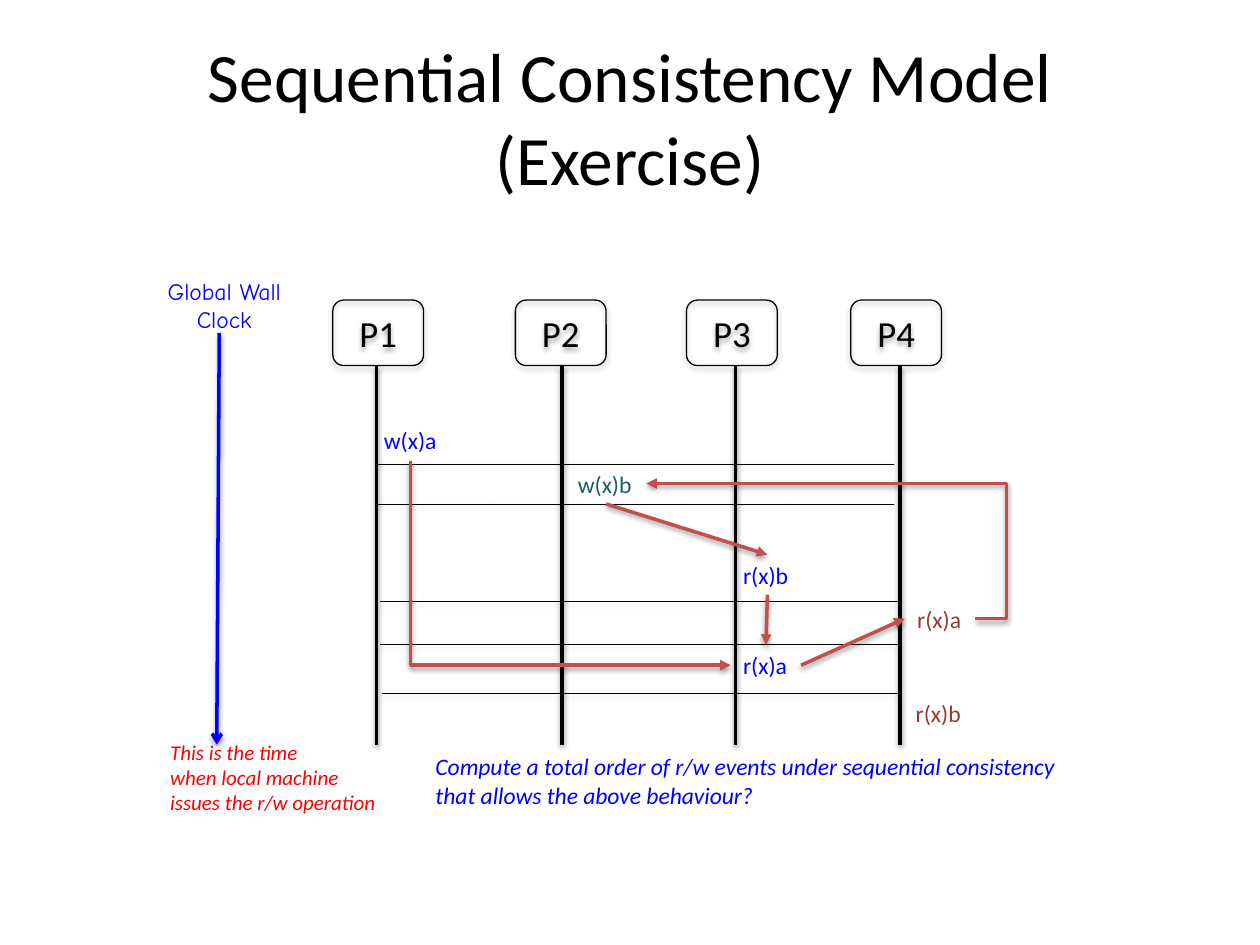
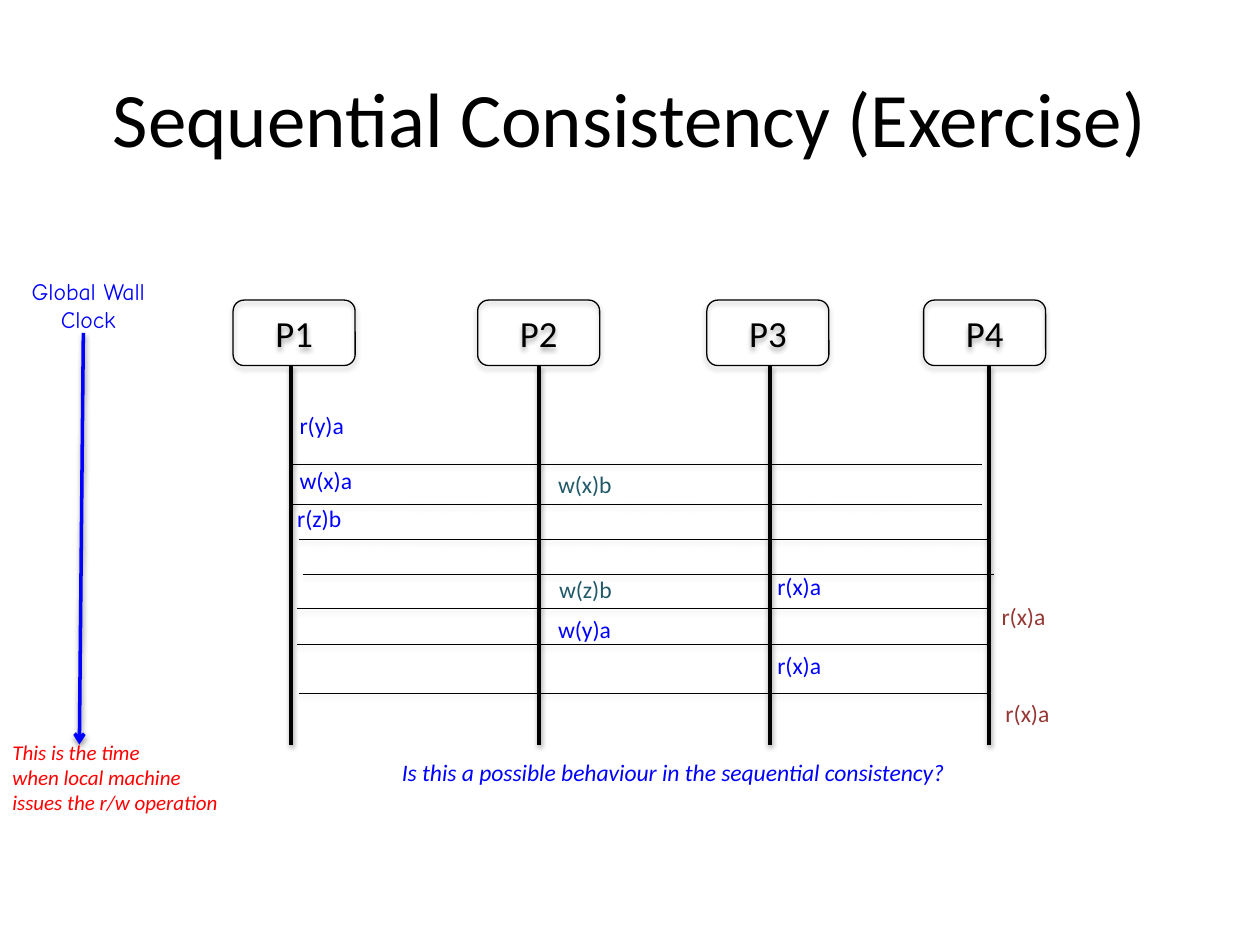
import dataclasses

import pptx
import pptx.dml.color
import pptx.enum.dml
import pptx.enum.shapes
import pptx.enum.text
import pptx.oxml
import pptx.oxml.ns
import pptx.util

Cm = pptx.util.Cm
Pt = pptx.util.Pt
RGBColor = pptx.dml.color.RGBColor
MSO_CONNECTOR = pptx.enum.shapes.MSO_CONNECTOR
PP_ALIGN = pptx.enum.text.PP_ALIGN
MSO_AUTO_SIZE = pptx.enum.text.MSO_AUTO_SIZE
MSO_ANCHOR = pptx.enum.text.MSO_ANCHOR
qn = pptx.oxml.ns.qn
NAMESPACE = pptx.oxml.ns.nsdecls("a")


@dataclasses.dataclass(frozen=True)
class Theme:
    font: str = "Calibri"
    clock_font: str = "Comic Neue"
    black: RGBColor = RGBColor(0x00, 0x00, 0x00)
    blue: RGBColor = RGBColor(0x00, 0x00, 0xFF)
    red: RGBColor = RGBColor(0xFF, 0x00, 0x00)
    teal: RGBColor = RGBColor(0x21, 0x59, 0x68)
    brick: RGBColor = RGBColor(0x95, 0x37, 0x35)
    arrow: RGBColor = RGBColor(0xC0, 0x50, 0x4D)
    process_size: float = 21
    label_size: float = 13.5
    note_size: float = 12
    thick: float = 2
    outline: float = 0.75
    hairline: float = 0.25


THEME = Theme()
SHADOW = (
    f'<a:outerShdw {NAMESPACE} blurRad="39370" dist="{{distance}}" dir="5400000" rotWithShape="0">'
    '<a:srgbClr val="000000"><a:alpha val="{alpha}"/></a:srgbClr></a:outerShdw>'
)


def add_text(slide, box, lines, color, size=THEME.label_size, font=THEME.font,
             italic=False, align=PP_ALIGN.LEFT):
    """Add an unwrapped text box with one paragraph per line; box is in centimetres."""
    text_box = slide.shapes.add_textbox(*[Cm(length) for length in box])
    frame = text_box.text_frame
    frame.word_wrap = False
    frame.auto_size = MSO_AUTO_SIZE.SHAPE_TO_FIT_TEXT
    for index, line in enumerate(lines):
        paragraph = frame.add_paragraph() if index else frame.paragraphs[0]
        paragraph.alignment = align
        run = paragraph.add_run()
        run.text = line
        run.font.name = font
        run.font.size = Pt(size)
        run.font.italic = italic
        run.font.color.rgb = color


def add_line(slide, start, end, color, width=THEME.thick, head=None, dotted=False,
             kind=MSO_CONNECTOR.STRAIGHT):
    """Add a shadowed connector between two points in centimetres."""
    connector = slide.shapes.add_connector(kind, *[Cm(value) for value in (*start, *end)])
    connector.line.color.rgb = color
    connector.line.width = Pt(width)
    if dotted:
        connector.line.dash_style = pptx.enum.dml.MSO_LINE.ROUND_DOT
    properties = connector._element.spPr
    if head:
        properties.find(qn("a:ln")).append(
            pptx.oxml.parse_xml(f'<a:tailEnd {NAMESPACE} type="{head}"/>'))
    effects = pptx.oxml.parse_xml(f"<a:effectLst {NAMESPACE}/>")
    effects.append(pptx.oxml.parse_xml(SHADOW.format(distance=20320, alpha=38000)))
    properties.append(effects)
    return connector


BOX_TOP, BOX_HEIGHT = 6.05, 1.32
BAR_BOTTOM = 15.01

exercises = [
    {
        "title": "Sequential Consistency Model (Exercise)",
        "title_size": 39.6,
        "box_width": 1.83,
        "box_lefts": [6.71, 10.39, 13.84, 17.15],
        "bars": [7.59, 11.33, 14.83, 18.14],
        "clock_left": 3.1,
        "clock_line": [4.42, 4.37],
        "note_left": 3.18,
        "time_length": 10.44,
        "times": [(7.59, 9.35), (7.59, 10.16), (7.67, 12.12), (7.67, 12.98), (7.7, 13.97)],
        "events": [
            ("w(x)a", 7.49, 8.46, THEME.blue),
            ("w(x)b", 11.4, 9.35, THEME.teal),
            ("r(x)b", 14.73, 11.18, THEME.blue),
            ("r(x)a", 14.73, 13.0, THEME.blue),
            ("r(x)a", 18.24, 12.07, THEME.brick),
            ("r(x)b", 18.21, 13.97, THEME.brick),
        ],
        "question_box": (8.53, 15.04, 13.31, 1.42),
        "question": ["Compute a total order of r/w events under sequential consistency",
                     "that allows the above behaviour?"],
    },
    {
        "title": "Sequential Consistency (Exercise)",
        "title_size": 44,
        "box_width": 2.46,
        "box_lefts": [4.7, 9.63, 14.25, 18.62],
        "bars": [5.87, 10.87, 15.52, 19.94],
        "clock_left": 0.36,
        "clock_line": [1.68, 1.6],
        "note_left": 0,
        "time_length": 13.93,
        "times": [(5.87, 9.35), (5.87, 10.16), (6.02, 10.87), (6.1, 11.58),
                  (5.99, 12.27), (5.99, 12.98), (6.02, 13.97)],
        "events": [
            ("r(y)a", 5.79, 8.15, THEME.blue),
            ("w(x)a", 5.79, 9.27, THEME.blue),
            ("r(z)b", 5.74, 10.03, THEME.blue),
            ("w(x)b", 11.0, 9.35, THEME.teal),
            ("w(z)b", 11.02, 11.46, THEME.teal),
            ("w(y)a", 11.0, 12.27, THEME.blue),
            ("r(x)a", 15.42, 11.4, THEME.blue),
            ("r(x)a", 15.42, 13.0, THEME.blue),
            ("r(x)a", 19.94, 12.01, THEME.brick),
            ("r(x)a", 20.02, 13.97, THEME.brick),
        ],
        "question_box": (7.85, 15.16, 11.63, 0.84),
        "question": ["Is this a possible behaviour in the sequential consistency?"],
    },
]

presentation = pptx.Presentation()
presentation.slide_width = Cm(25.4)
presentation.slide_height = Cm(19.05)

for exercise in exercises:
    slide = presentation.slides.add_slide(presentation.slide_layouts[5])
    title = slide.shapes.title
    title.left, title.top, title.width, title.height = Cm(1.27), Cm(0.76), Cm(22.86), Cm(3.18)
    title.text_frame.auto_size = MSO_AUTO_SIZE.NONE
    title.text_frame.vertical_anchor = MSO_ANCHOR.MIDDLE
    paragraph = title.text_frame.paragraphs[0]
    paragraph.alignment = PP_ALIGN.CENTER
    run = paragraph.add_run()
    run.text = exercise["title"]
    run.font.name = THEME.font
    run.font.size = Pt(exercise["title_size"])
    run.font.color.rgb = THEME.black

    # Processes and their timelines
    for number, left in enumerate(exercise["box_lefts"], start=1):
        process = slide.shapes.add_shape(
            pptx.enum.shapes.MSO_SHAPE.ROUNDED_RECTANGLE,
            Cm(left), Cm(BOX_TOP), Cm(exercise["box_width"]), Cm(BOX_HEIGHT))
        process.fill.background()
        process.line.color.rgb = THEME.black
        process.line.width = Pt(THEME.outline)
        process.shadow.inherit = False
        process._element.spPr.find(qn("a:effectLst")).append(
            pptx.oxml.parse_xml(SHADOW.format(distance=22860, alpha=35000)))
        process.text_frame.vertical_anchor = MSO_ANCHOR.MIDDLE
        paragraph = process.text_frame.paragraphs[0]
        paragraph.alignment = PP_ALIGN.CENTER
        run = paragraph.add_run()
        run.text = f"P{number}"
        run.font.name = THEME.font
        run.font.size = Pt(THEME.process_size)
        run.font.color.rgb = THEME.black
    for x in exercise["bars"]:
        add_line(slide, (x, BOX_TOP + BOX_HEIGHT), (x, BAR_BOTTOM), THEME.black)

    # Wall clock
    clock_start, clock_end = exercise["clock_line"]
    add_line(slide, (clock_start, 6.71), (clock_end, BAR_BOTTOM), THEME.blue, head="arrow")
    add_text(slide, (exercise["clock_left"], 5.46, 2.84, 1.42), ["Global Wall ", "Clock"],
             THEME.blue, font=THEME.clock_font, align=PP_ALIGN.CENTER)
    add_text(slide, (exercise["note_left"], 14.78, 4.7, 1.8),
             ["This is the time", "when local machine", "issues the r/w operation"],
             THEME.red, size=THEME.note_size, italic=True)

    # Time steps and events
    for x, y in exercise["times"]:
        add_line(slide, (x, y), (x + exercise["time_length"], y), THEME.black,
                 width=THEME.hairline, dotted=True)
    for event, left, top, color in exercise["events"]:
        width = 1.6 if event.startswith("w") else 1.42
        add_text(slide, (left, top, width, 0.84), [event], color)
    add_text(slide, exercise["question_box"], exercise["question"], THEME.blue, italic=True)

# Order of events on the first slide
slide = presentation.slides[0]
for start, end in [((16.15, 13.41), (18.24, 12.47)),
                   ((12.22, 10.16), (15.47, 11.18)),
                   ((15.47, 11.99), (15.44, 13.0))]:
    add_line(slide, start, end, THEME.arrow, head="triangle")

# The return arrow bends outside its box, to the right of its start
return_arrow = add_line(slide, (19.66, 12.47), (13.03, 9.75), THEME.arrow,
                        head="triangle", kind=MSO_CONNECTOR.ELBOW)
geometry = return_arrow._element.spPr.find(qn("a:prstGeom"))
for adjustments in geometry.findall(qn("a:avLst")):
    geometry.remove(adjustments)
geometry.append(pptx.oxml.parse_xml(
    f'<a:avLst {NAMESPACE}><a:gd name="adj1" fmla="val -9600"/></a:avLst>'))

# The one-bend arrow goes down first, so it is laid out on its side and turned by 270 degrees
(start_x, start_y), (end_x, end_y) = (8.28, 9.3), (14.73, 13.41)
center_x, center_y = (start_x + end_x) / 2, (start_y + end_y) / 2
half_width, half_height = (end_y - start_y) / 2, (end_x - start_x) / 2
down_arrow = add_line(slide, (center_x + half_width, center_y - half_height),
                      (center_x - half_width, center_y + half_height),
                      THEME.arrow, head="triangle", kind=MSO_CONNECTOR.ELBOW)
properties = down_arrow._element.spPr
properties.find(qn("a:prstGeom")).set("prst", "bentConnector2")
properties.find(qn("a:xfrm")).set("rot", str(270 * 60000))

presentation.save("out.pptx")
